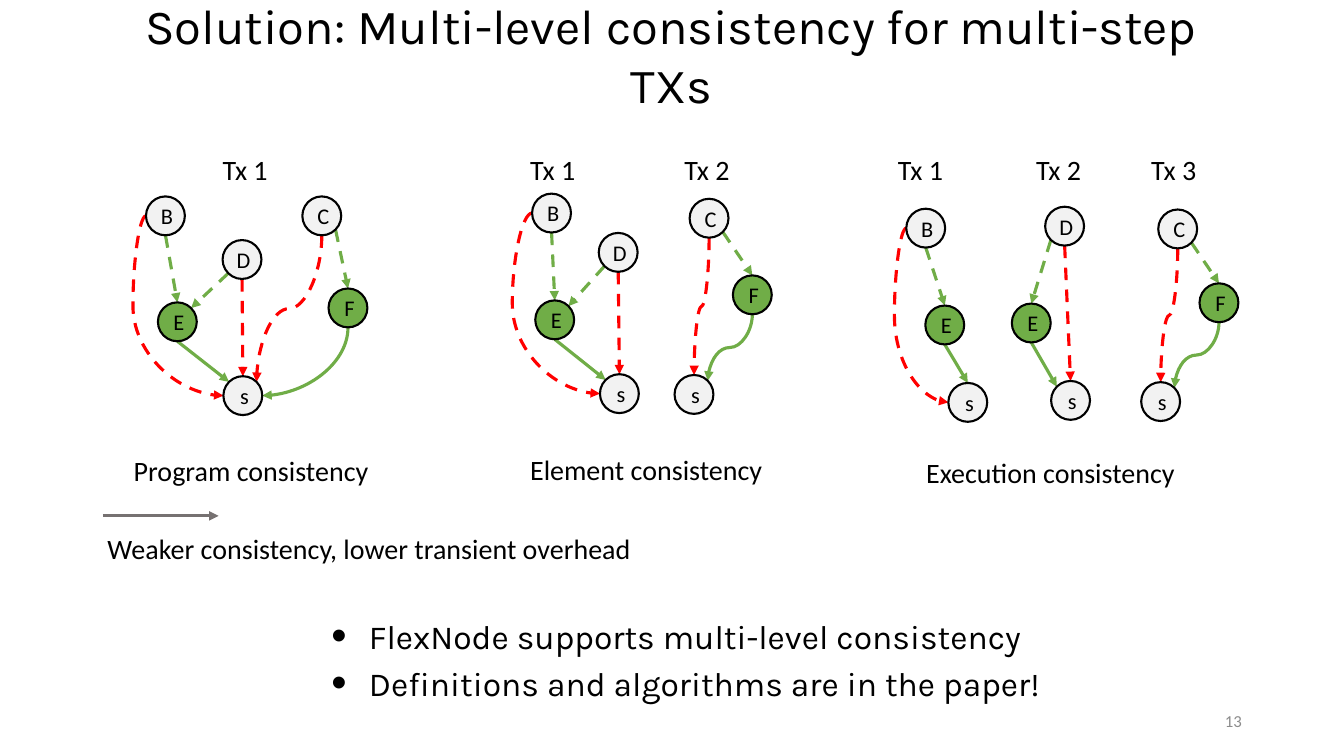
from lxml import etree
from pptx import Presentation
from pptx.dml.color import RGBColor
from pptx.enum import dml, shapes, text
from pptx.oxml import ns
from pptx.util import Cm, Pt

BLACK = RGBColor(0x00, 0x00, 0x00)
PALE = RGBColor(0xF2, 0xF2, 0xF2)
GREEN = RGBColor(0x70, 0xAD, 0x47)
RED = RGBColor(0xFF, 0x00, 0x00)
SLATE = RGBColor(0x76, 0x71, 0x71)
GREY = RGBColor(0x8C, 0x8C, 0x8C)

NODE = 0.98
RADIUS = NODE / 2
DIAGONAL = RADIUS * 0.5 ** 0.5
SITES = {
    "n": (0, -RADIUS), "s": (0, RADIUS), "w": (-RADIUS, 0), "e": (RADIUS, 0),
    "nw": (-DIAGONAL, -DIAGONAL), "ne": (DIAGONAL, -DIAGONAL),
    "sw": (-DIAGONAL, DIAGONAL), "se": (DIAGONAL, DIAGONAL),
}

SHARED_EDGES = [
    ("B.s", "E1.n", GREEN, True, "line"),
    ("B.w", "s1.w", RED, True, "loop"),
    ("C.se", "F.n", GREEN, True, "line"),
]
PANELS = [
    dict(
        box=(3.12, 3.71), caption=("Program consistency", 0, 7.59, 8.2),
        transactions=[2.24], loop_depth=0.33,
        nodes={"B": (0.56, 1.24), "C": (4.5, 1.24), "D": (2.49, 2.34),
               "E1": (0.86, 3.91), "F": (5.16, 3.56), "s1": (2.51, 5.77)},
        edges=[("E1.s", "s1.nw", GREEN, False, "line"),
               ("D.sw", "E1.ne", GREEN, True, "line"),
               ("D.s", "s1.n", RED, True, "line"),
               ("C.s", "s1.ne", RED, True, "drop"),
               ("F.s", "s1.e", GREEN, False, "hook")],
    ),
    dict(
        box=(13.11, 3.71), caption=("Element consistency", 0, 7.57, 6.73),
        transactions=[0, 3.89], loop_depth=0.5,
        nodes={"B": (0.3, 1.17), "C": (4.27, 1.3), "D": (1.98, 2.16),
               "E1": (0.38, 3.86), "F": (5.36, 3.23),
               "s1": (2.01, 5.72), "s2": (3.89, 5.74)},
        edges=[("E1.s", "s1.nw", GREEN, False, "line"),
               ("D.sw", "E1.ne", GREEN, True, "line"),
               ("D.s", "s1.n", RED, True, "line"),
               ("C.s", "s2.n", RED, True, "drop"),
               ("F.s", "s2.ne", GREEN, False, "drop")],
    ),
    dict(
        box=(22.38, 3.71), caption=("Execution consistency", 0.71, 7.65, 7.42),
        transactions=[0, 3.48, 6.38], loop_depth=0.3,
        nodes={"B": (0.46, 1.55), "C": (6.81, 1.57), "D": (3.96, 1.5),
               "E1": (0.94, 3.99), "E2": (3.12, 3.94), "F": (7.85, 3.43),
               "s1": (1.52, 5.94), "s2": (4.11, 5.89), "s3": (6.38, 5.92)},
        edges=[("E1.s", "s1.n", GREEN, False, "line"),
               ("E2.s", "s2.nw", GREEN, False, "line"),
               ("D.sw", "E2.n", GREEN, True, "line"),
               ("D.s", "s2.n", RED, True, "line"),
               ("C.s", "s3.n", RED, True, "drop"),
               ("F.s", "s3.ne", GREEN, False, "drop")],
    ),
]


def write(frame, *lines, size=20, font="Calibri", color=BLACK,
          align=text.PP_ALIGN.LEFT, anchor=text.MSO_ANCHOR.TOP, wrap=True):
    """Fill a text frame with one formatted paragraph per line."""
    frame.word_wrap = wrap
    frame.auto_size = text.MSO_AUTO_SIZE.NONE
    frame.vertical_anchor = anchor
    for index, line in enumerate(lines):
        paragraph = frame.add_paragraph() if index else frame.paragraphs[0]
        paragraph.alignment = align
        run = paragraph.add_run()
        run.text = line
        run.font.size, run.font.name = Pt(size), font
        run.font.color.rgb = color


def add_label(slide, left, top, width, height, *lines, **style):
    """Add a text box and return its frame."""
    frame = slide.shapes.add_textbox(Cm(left), Cm(top), Cm(width), Cm(height)).text_frame
    write(frame, *lines, **style)
    return frame


def add_arrow(slide, start, end, color, dashed=False, route="line", loop_depth=0):
    """Draw a straight or curved arrow between two points."""
    kind = shapes.MSO_CONNECTOR.STRAIGHT if route == "line" else shapes.MSO_CONNECTOR.CURVE
    arrow = slide.shapes.add_connector(kind, *(Cm(v) for v in (*start, *end)))
    arrow.line.color.rgb = color
    arrow.line.width = Pt(2.25)
    if dashed:
        arrow.line.dash_style = dml.MSO_LINE.DASH
    properties = arrow._element.spPr
    etree.SubElement(arrow.line._get_or_add_ln(), ns.qn("a:tailEnd"), type="triangle")
    etree.SubElement(properties, ns.qn("a:effectLst"))
    geometry = properties.find(ns.qn("a:prstGeom"))
    if route == "loop":
        bend = -round(100000 * loop_depth / (end[0] - start[0]))
        guides = geometry.find(ns.qn("a:avLst"))
        etree.SubElement(guides, ns.qn("a:gd"), name="adj1", fmla=f"val {bend}")
    elif route in ("drop", "hook"):
        turn_downwards(arrow, start, end)
        if route == "hook":
            geometry.set("prst", "curvedConnector2")


def turn_downwards(arrow, start, end):
    """Rotate a curve so that it leaves its start point downwards and to the left."""
    across, down = start[0] - end[0], end[1] - start[1]
    transform = arrow._element.spPr.find(ns.qn("a:xfrm"))
    for flip in ("flipH", "flipV"):
        transform.attrib.pop(flip, None)
    transform.set("rot", "5400000")
    arrow.left = Cm((start[0] + end[0] - down) / 2)
    arrow.top = Cm((start[1] + end[1] - across) / 2)
    arrow.width, arrow.height = Cm(down), Cm(across)


def add_node(slide, name, left, top):
    """Draw one lettered circle, green for the new elements E and F."""
    node = slide.shapes.add_shape(
        shapes.MSO_SHAPE.OVAL, Cm(left), Cm(top), Cm(NODE), Cm(NODE))
    node.shadow.inherit = False
    node.fill.solid()
    node.fill.fore_color.rgb = GREEN if name[0] in "EF" else PALE
    node.line.color.rgb = BLACK
    node.line.width = Pt(1.5)
    frame = node.text_frame
    frame.margin_left = Cm(0.08)
    frame.margin_right = frame.margin_top = frame.margin_bottom = 0
    write(frame, name[0], size=16, align=text.PP_ALIGN.CENTER,
          anchor=text.MSO_ANCHOR.MIDDLE, wrap=False)


def add_panel(slide, box, caption, transactions, loop_depth, nodes, edges):
    """Draw one consistency level: its transactions, graph and caption."""
    left, top = box

    def site(reference):
        """Return the slide position of a node's connection site."""
        name, side = reference.split(".")
        return [origin + offset + RADIUS + shift
                for origin, offset, shift in zip(box, nodes[name], SITES[side])]

    for source, target, color, dashed, route in SHARED_EDGES + edges:
        add_arrow(slide, site(source), site(target), color, dashed, route, loop_depth)
    for name, (x, y) in nodes.items():
        add_node(slide, name, left + x, top + y)
    for number, x in enumerate(transactions, 1):
        add_label(slide, left + x, top, 1.9, 1.12, f"Tx {number}", wrap=False)
    wording, x, y, width = caption
    add_label(slide, left + x, top + y, width, 1.12, wording)


def add_title(slide, left, top, width, height):
    """Place and format the title placeholder."""
    title = slide.shapes.title
    title.left, title.top, title.width, title.height = (
        Cm(v) for v in (left, top, width, height))
    write(title.text_frame, "Solution: Multi-level consistency for multi-step TXs",
          size=35, font="Karla", align=text.PP_ALIGN.CENTER, anchor=text.MSO_ANCHOR.MIDDLE)


def add_trend(slide, left, top):
    """Draw the trend arrow with its explanation below."""
    add_arrow(slide, (left + 0.13, top), (left + 3.05, top), SLATE)
    add_label(slide, left, top + 0.26, 15.37, 1.12,
              "Weaker consistency, lower transient overhead")


def add_takeaways(slide, left, top, width, height):
    """List the two closing points with large bullets."""
    frame = add_label(slide, left, top, width, height,
                      "FlexNode supports multi-level consistency",
                      "Definitions and algorithms are in the paper!",
                      size=24, font="Karla")
    for paragraph in frame.paragraphs:
        paragraph.space_before = Pt(4.8)
        properties = paragraph._p.get_or_add_pPr()
        properties.set("marL", str(Cm(0.95)))
        properties.set("indent", str(Cm(-0.95)))
        etree.SubElement(properties, ns.qn("a:buSzPct"), val="130000")
        etree.SubElement(properties, ns.qn("a:buFont"), typeface="Arial")
        etree.SubElement(properties, ns.qn("a:buChar"), char="•")


def main():
    """Build and save the slide."""
    deck = Presentation()
    deck.slide_width, deck.slide_height = Cm(33.87), Cm(19.05)
    slide = deck.slides.add_slide(deck.slide_layouts[5])
    add_title(slide, 2.51, 0, 28.83, 2.74)
    for panel in PANELS:
        add_panel(slide, **panel)
    add_trend(slide, 2.46, 13)
    add_takeaways(slide, 8.1, 15.39, 18.54, 3.05)
    add_label(slide, 23.93, 17.65, 7.62, 1.02, "13", size=12, color=GREY,
              align=text.PP_ALIGN.RIGHT, anchor=text.MSO_ANCHOR.MIDDLE)
    deck.save("out.pptx")


if __name__ == "__main__":
    main()
